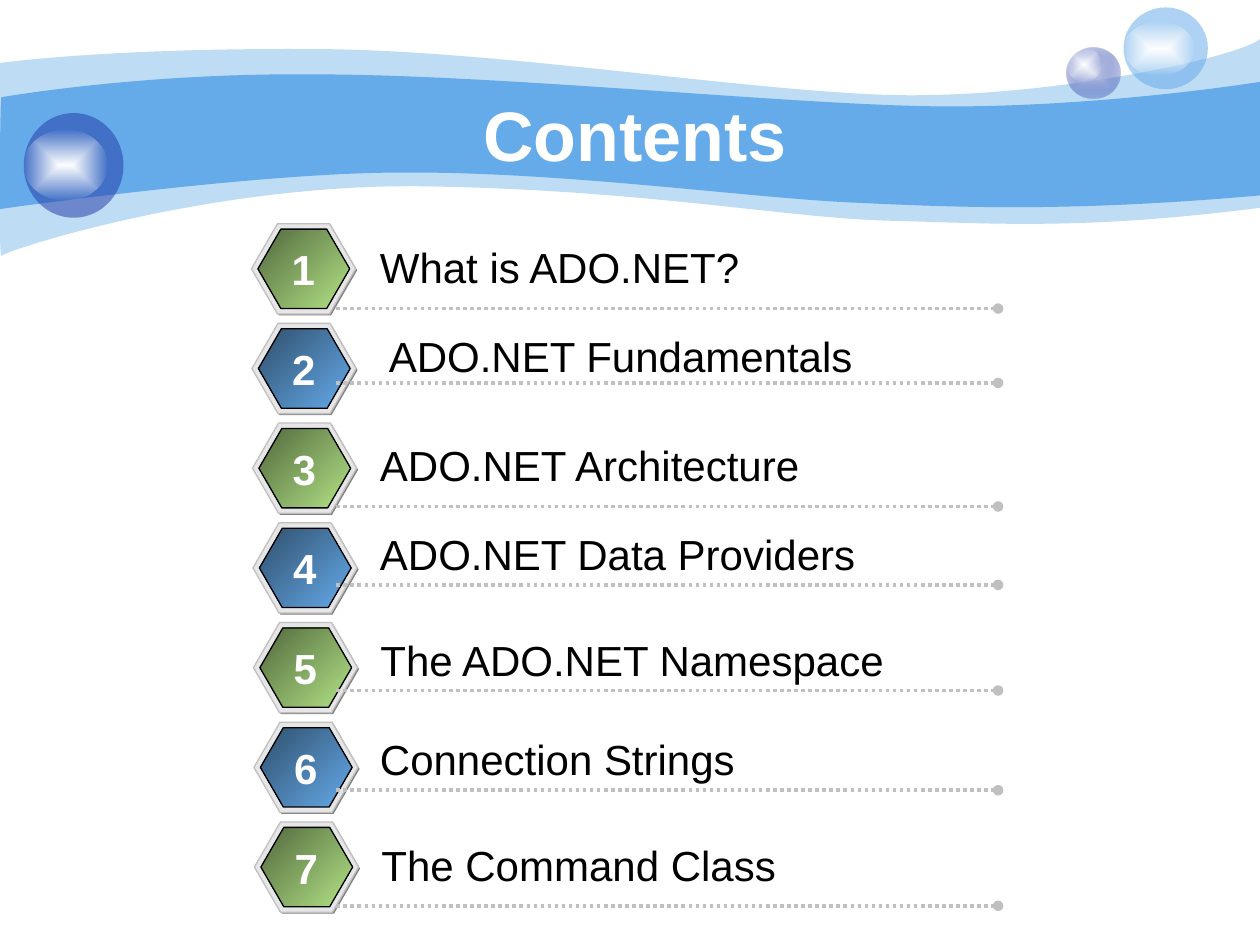
from lxml import etree
from pptx import Presentation
from pptx.dml.color import RGBColor
from pptx.enum.dml import MSO_LINE
from pptx.enum.shapes import MSO_CONNECTOR, MSO_SHAPE
from pptx.enum.text import MSO_ANCHOR, PP_ALIGN
from pptx.oxml import parse_xml
from pptx.oxml.ns import nsdecls, qn
from pptx.util import Cm, Pt

ELLIPSE = MSO_SHAPE.OVAL
HEXAGON = MSO_SHAPE.HEXAGON
STRAIGHT = MSO_CONNECTOR.STRAIGHT
DOTTED = MSO_LINE.ROUND_DOT
MIDDLE = MSO_ANCHOR.MIDDLE
TOP = MSO_ANCHOR.TOP
LEFT = PP_ALIGN.LEFT
CENTER = PP_ALIGN.CENTER

COLORS = {
    "white": "FFFFFF",
    "black": "000000",
    "sky": "65AAE9",
    "navy": "233DA9",
    "lavender": "C7CEE9",
    "shade": "808080",
    "rim": "E6E6E6",
    "silver": "C0C0C0",
    "green dark": "52693E",
    "green light": "B2E385",
    "blue dark": "2F4F6C",
    "blue light": "65AAE9",
}
FONT = "Arial"
BADGE_LEFT, BADGE_TOP, BADGE_PITCH, BADGE_DRIFT = 5.07, 4.51, 2.01, 0.01

PALE_WAVE = (
    [(0, 1.27), (0.61, 1.19), (2.72, 0.97), (6.27, 0.99), (9.8, 0.99),
     (14.61, 1.78), (17.75, 1.91), (20.88, 2.03), (24.89, 1.19), (25.4, 0.79)],
    [(25.4, 4.19), (21.79, 4.65), (19.99, 4.5), (17.91, 4.45), (15.8, 4.39),
     (13.08, 3.84), (8.71, 3.76), (4.37, 3.66), (0.1, 5.05), (0.03, 5.16),
     (-0.03, 5.28), (0, 1.91), (0, 1.27)],
)
BRIGHT_WAVE = (
    [(0.03, 1.96), (0.05, 1.96), (2.79, 1.47), (6.3, 1.5), (9.8, 1.5),
     (15.11, 2.03), (18.24, 2.13), (21.36, 2.24), (24.79, 1.75), (25.4, 1.65)],
    [(25.4, 3.94), (21.67, 4.27), (19.43, 4.19), (17.32, 4.09), (15.21, 4.01),
     (11.35, 3.45), (8.05, 3.48), (5.16, 3.48), (-0.05, 4.22), (-0.03, 4.22),
     (0, 4.22), (0, 1.96), (0.03, 1.96)],
)
TOPICS = [
    ("What is ADO.NET?", 7.41, 4.74, 13.69, 6.22),
    ("ADO.NET Fundamentals", 7.59, 6.53, 12.5, 7.72),
    ("ADO.NET Architecture", 7.41, 8.73, 12.5, 10.21),
    ("ADO.NET Data Providers", 7.41, 10.52, 17.5, 11.79),
    ("The ADO.NET Namespace", 7.42, 12.66, 12.5, 13.92),
    ("Connection Strings", 7.41, 14.66, 12.5, 15.93),
    ("The Command Class", 7.44, 16.79, 12.5, 18.26),
]


def rgb(name):
    return RGBColor.from_string(COLORS[name])


def fill_solid(shape, color, opacity=100):
    shape.fill.solid()
    shape.fill.fore_color.rgb = rgb(color)
    if opacity < 100:
        tint = shape._element.spPr.find(qn("a:solidFill"))[0]
        etree.SubElement(tint, qn("a:alpha"), val=str(opacity * 1000))


def fill_glow(shape, center, edge, edge_opacity):
    shape.fill.background()
    glow = parse_xml(
        f'<a:gradFill {nsdecls("a")} rotWithShape="1"><a:gsLst>'
        f'<a:gs pos="0"><a:srgbClr val="{COLORS[center]}"/></a:gs>'
        f'<a:gs pos="100000"><a:srgbClr val="{COLORS[edge]}">'
        f'<a:alpha val="{edge_opacity * 1000}"/></a:srgbClr></a:gs></a:gsLst>'
        '<a:path path="rect"><a:fillToRect l="50000" t="50000" r="50000" b="50000"/>'
        '</a:path></a:gradFill>'
    )
    properties = shape._element.spPr
    properties.replace(properties.find(qn("a:noFill")), glow)


def fill_diagonal(shape, hue):
    shape.fill.gradient()
    shape.fill.gradient_angle = 315
    for stop, tone in zip(shape.fill.gradient_stops, ("dark", "light")):
        stop.color.rgb = rgb(f"{hue} {tone}")


def outline(shape, color=None):
    shape.shadow.inherit = False
    if color:
        shape.line.color.rgb = rgb(color)
        shape.line.width = Pt(0.75)
    else:
        shape.line.fill.background()


def curve_segments(segments):
    for start in range(0, len(segments), 3):
        first, *others = segments[start:start + 3]
        first.tag = qn("a:cubicBezTo")
        for segment in others:
            first.append(segment[0])
            segment.getparent().remove(segment)


def add_wave(slide, edges, opacity):
    upper, lower = edges
    points = [(Cm(x), Cm(y)) for x, y in upper + lower]
    builder = slide.shapes.build_freeform(*points[0], scale=1.0)
    builder.add_line_segments(points[1:], close=True)
    wave = builder.convert_to_shape()
    segments = list(wave._element.iter(qn("a:lnTo")))
    side = len(upper) - 1
    curve_segments(segments[:side])
    curve_segments(segments[side + 1:side + len(lower)])
    fill_solid(wave, "sky", opacity)
    outline(wave)


def add_preset(shapes, preset, box, line=None):
    shape = shapes.add_shape(preset, *(Cm(length) for length in box))
    outline(shape, line)
    return shape


def add_bubble(slide, box, shine_box, color, opacity, center=None):
    group = slide.shapes.add_group_shape()
    ball = add_preset(group.shapes, ELLIPSE, box)
    if center:
        fill_glow(ball, center, color, opacity)
    else:
        fill_solid(ball, color, opacity)
    fill_glow(add_preset(group.shapes, ELLIPSE, shine_box), "white", "white", 0)


def add_badge(slide, left, top, hue):
    group = slide.shapes.add_group_shape()
    shade = add_preset(group.shapes, HEXAGON, (left + 0.03, top + 0.03, 2.1, 1.82))
    rim = add_preset(group.shapes, HEXAGON, (left, top, 2.1, 1.82), "silver")
    face = add_preset(group.shapes, HEXAGON, (left + 0.13, top + 0.11, 1.85, 1.6), "black")
    for layer in (shade, rim, face):
        layer.adjustments[0] = 0.289
    fill_solid(shade, "shade")
    fill_solid(rim, "rim")
    fill_diagonal(face, hue)


def add_text(slide, text, box, size, color, bold=False, align=LEFT, anchor=TOP, wrap=True):
    frame = slide.shapes.add_textbox(*(Cm(length) for length in box)).text_frame
    frame.word_wrap = wrap
    frame.vertical_anchor = anchor
    frame.text = text
    paragraph = frame.paragraphs[0]
    paragraph.alignment = align
    font = paragraph.runs[0].font
    font.name, font.size, font.bold = FONT, Pt(size), bold
    font.color.rgb = rgb(color)


def add_rule(slide, y):
    rule = slide.shapes.add_connector(STRAIGHT, Cm(6.78), Cm(y), Cm(20.12), Cm(y))
    rule.line.color.rgb = rgb("silver")
    rule.line.width = Pt(2)
    rule.line.dash_style = DOTTED
    properties = rule._element.spPr
    etree.SubElement(properties.find(qn("a:ln")), qn("a:tailEnd"), type="oval")
    etree.SubElement(properties, qn("a:effectLst"))


def main():
    deck = Presentation()
    deck.slide_width, deck.slide_height = Cm(25.4), Cm(19.05)
    slide = deck.slides.add_slide(deck.slide_layouts[6])

    add_wave(slide, PALE_WAVE, 41)
    add_wave(slide, BRIGHT_WAVE, 100)
    add_bubble(slide, (21.5, 0.96, 1.09, 1.03), (21.5, 0.96, 0.71, 0.69), "navy", 31, "lavender")
    add_bubble(slide, (22.65, 0.15, 1.7, 1.65), (22.65, 0.43, 1.42, 1.09), "sky", 53)
    add_bubble(slide, (0.48, 2.28, 2.01, 2.11), (0.48, 2.62, 1.68, 1.42), "navy", 53)
    add_text(slide, "Contents", (2.54, 1.91, 20.52, 1.57), 40, "white", True, CENTER, MIDDLE)

    for index, (topic, left, top, width, rule_y) in enumerate(TOPICS):
        badge_left = BADGE_LEFT + index * BADGE_DRIFT
        badge_top = BADGE_TOP + index * BADGE_PITCH
        add_badge(slide, badge_left, badge_top, ("green", "blue")[index % 2])
        add_rule(slide, rule_y)
        add_text(slide, topic, (left, top, width, 1.27), 24, "black")
        add_text(slide, str(index + 1), (badge_left + 0.56, badge_top + 0.28, 0.97, 1.27),
                 24, "white", True, CENTER, wrap=False)

    deck.save("out.pptx")


if __name__ == "__main__":
    main()
